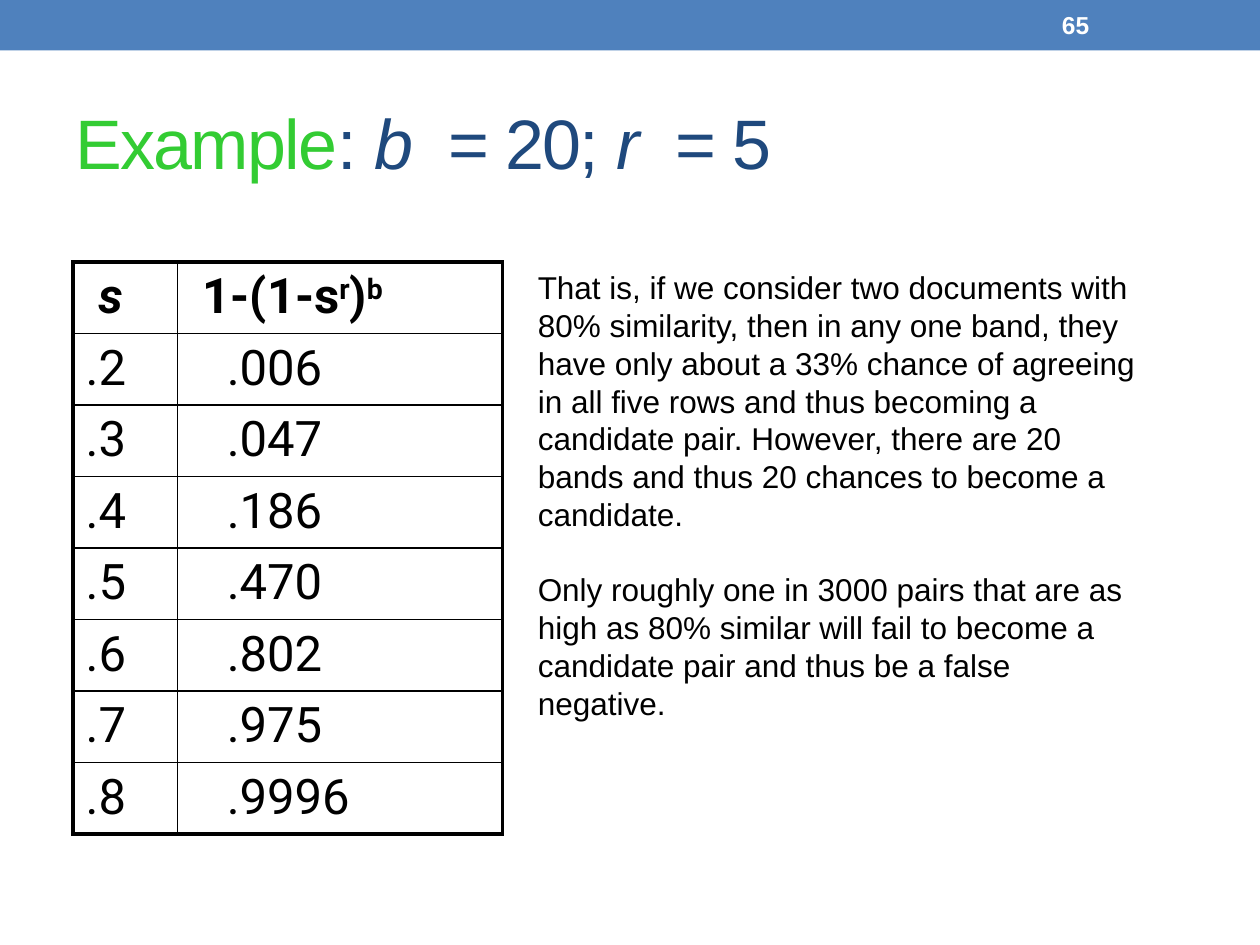
"""Build the slide on candidate probability for b = 20 bands and r = 5 rows."""
from lxml.etree import SubElement
from pptx import Presentation
from pptx.dml.color import RGBColor
from pptx.enum.shapes import MSO_SHAPE as SHAPE
from pptx.enum.text import MSO_ANCHOR as ANCHOR
from pptx.oxml.ns import qn
from pptx.util import Inches, Pt

BLUE = RGBColor(0x4F, 0x81, 0xBD)
NAVY = RGBColor(0x1F, 0x49, 0x7D)
GREEN = RGBColor(0x33, 0xCC, 0x33)
BLACK = RGBColor(0, 0, 0)
WHITE = RGBColor(255, 255, 255)

TITLE = [
    ("Example", dict(color=GREEN)),
    (": ", {}),
    ("b ", dict(italic=True)),
    (" = 20; ", {}),
    ("r ", dict(italic=True)),
    (" = 5", {}),
]
HEADER = [
    [("s", dict(italic=True))],
    [("1-(1-s", {}), ("r", dict(base=30)), (")", {}), ("b", dict(base=30))],
]
VALUES = [
    (".2", ".006"), (".3", ".047"), (".4", ".186"), (".5", ".470"),
    (".6", ".802"), (".7", ".975"), (".8", ".9996"),
]
NOTES = [
    "That is, if we consider two documents with 80% similarity, then in any one "
    "band, they have only about a 33% chance of agreeing in all five rows and thus "
    "becoming a candidate pair. However, there are 20 bands and thus 20 chances to "
    "become a candidate.",
    "Only roughly one in 3000 pairs that are as high as 80% similar will fail to "
    "become a candidate pair and thus be a false negative.",
]
COL_WIDTHS = (0.83, 2.58)
TABLE_HEIGHT = 4.44
HEADER_INDENTS = (0.2, 0.2)
VALUE_INDENTS = (0.1, 0.39)
THIN, THICK = 1, 2.25


def add_text(p, text, size=18, font="Arial", color=BLACK, bold=False,
             italic=False, spacing=0, base=0):
    r = p.add_run()
    r.text = text
    f = r.font
    f.name, f.size, f.bold, f.italic = font, Pt(size), bold, italic
    f.color.rgb = color
    rPr = r._r.get_or_add_rPr()
    if spacing:
        rPr.set("spc", str(spacing * 100))
    if base:
        rPr.set("baseline", str(base * 1000))


def add_box(s, x, y, w, h, anchor=ANCHOR.TOP):
    tf = s.shapes.add_textbox(Inches(x), Inches(y), Inches(w), Inches(h)).text_frame
    tf.word_wrap = True
    tf.vertical_anchor = anchor
    return tf


def set_borders(cell, widths):
    tcPr = cell._tc.get_or_add_tcPr()
    for i, (side, width) in enumerate(widths.items()):
        ln = SubElement(tcPr, qn(f"a:ln{side}"), w=str(Pt(width)))
        fill = SubElement(ln, qn("a:solidFill"))
        SubElement(fill, qn("a:srgbClr"), val=str(BLACK))
        tcPr.remove(ln)
        tcPr.insert(i, ln)


def add_table(s):
    rows = [HEADER] + [[[(v, {})] for v in row] for row in VALUES]
    n_rows, n_cols = len(rows), len(COL_WIDTHS)
    table = s.shapes.add_table(n_rows, n_cols, Inches(0.58), Inches(2.08),
                               Inches(sum(COL_WIDTHS)), Inches(TABLE_HEIGHT)).table
    table.horz_banding = table.first_row = False
    for col, width in zip(table.columns, COL_WIDTHS):
        col.width = Inches(width)
    for i, row in enumerate(rows):
        table.rows[i].height = Inches(TABLE_HEIGHT / n_rows)
        indents = VALUE_INDENTS if i else HEADER_INDENTS
        for j, runs in enumerate(row):
            cell = table.cell(i, j)
            cell.margin_left = Inches(indents[j])
            cell.fill.background()
            for text, fmt in runs:
                add_text(cell.text_frame.paragraphs[0], text, size=28,
                         font="Roboto", bold=i == 0, **fmt)
            set_borders(cell, {
                "L": THICK if j == 0 else THIN,
                "R": THICK if j == n_cols - 1 else THIN,
                "T": THICK if i == 0 else THIN,
                "B": THICK if i == n_rows - 1 else THIN,
            })


def main():
    prs = Presentation()
    prs.slide_width, prs.slide_height = Inches(10), Inches(7.5)
    s = prs.slides.add_slide(prs.slide_layouts[6])

    bar = s.shapes.add_shape(SHAPE.RECTANGLE, 0, 0, prs.slide_width, Inches(0.4))
    bar.shadow.inherit = False
    bar.fill.solid()
    bar.fill.fore_color.rgb = BLUE
    bar.line.fill.background()

    number = add_box(s, 8.33, 0.02, 1.17, 0.36, ANCHOR.MIDDLE)
    add_text(number.paragraphs[0], "65", size=14, color=WHITE, bold=True)

    title = add_box(s, 0.5, 0.58, 9, 1.08, ANCHOR.MIDDLE)
    for text, fmt in TITLE:
        add_text(title.paragraphs[0], text,
                 **{"size": 40, "color": NAVY, "spacing": -1, **fmt})

    add_table(s)

    tf = add_box(s, 4.17, 2.08, 5, 4.04)
    for i, text in enumerate(NOTES):
        p = tf.add_paragraph() if i else tf.paragraphs[0]
        p.space_before = Pt(21.5 if i else 0)
        add_text(p, text)

    prs.save("out.pptx")


if __name__ == "__main__":
    main()
